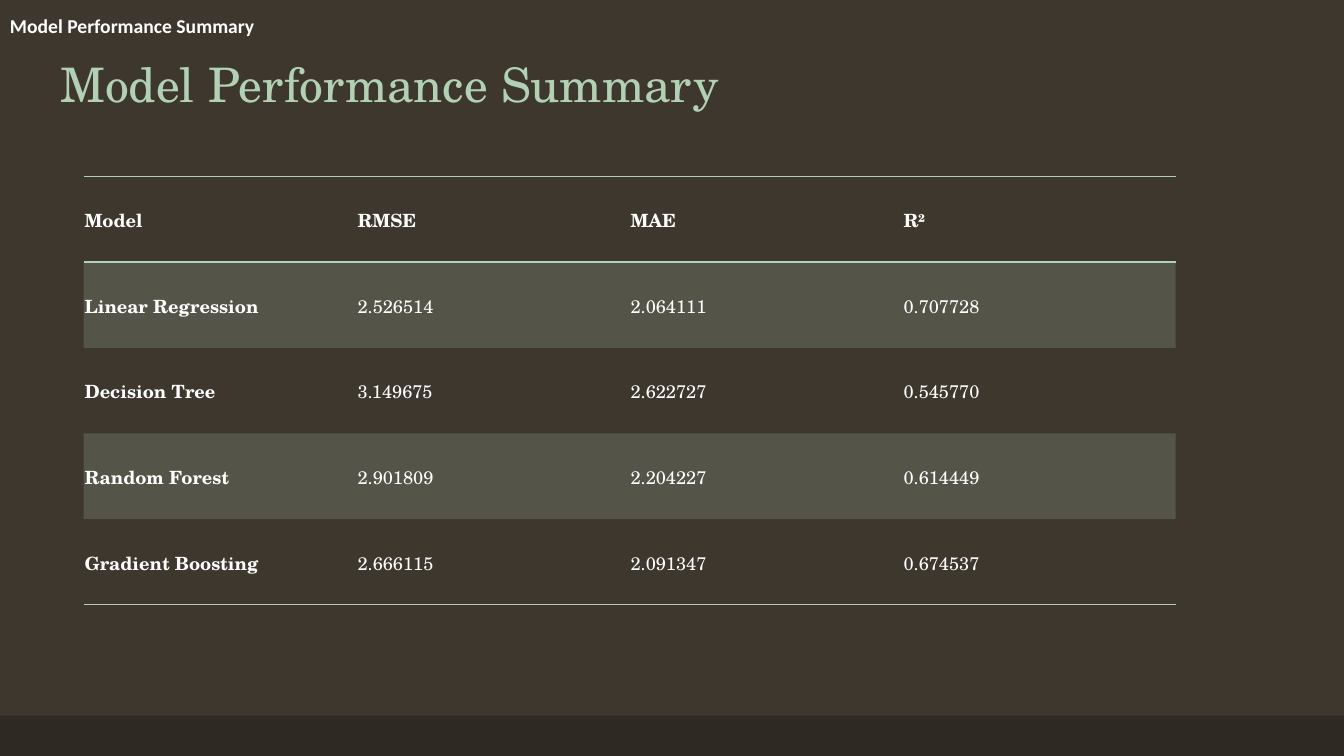
from dataclasses import dataclass

from lxml.etree import SubElement
from pptx import Presentation
from pptx.dml.color import RGBColor
from pptx.enum.shapes import MSO_SHAPE
from pptx.enum.text import MSO_ANCHOR
from pptx.oxml import parse_xml
from pptx.oxml.ns import nsdecls, qn
from pptx.util import Inches, Pt

PLAIN_TABLE_STYLE = "{2D5ABB26-0587-4C30-8999-92F81FD0307C}"


@dataclass(frozen=True)
class Theme:
    background: str = "3D372E"
    footer: str = "2E2923"
    accent: str = "B2D0B4"
    text: str = "FFFFFF"
    serif: str = "TeX Gyre Schola"
    sans: str = "Calibri"
    title_size: int = 34
    label_size: int = 14
    table_size: int = 13
    band_opacity: int = 20


class SlideBuilder:
    def __init__(self, slide, theme):
        self.slide = slide
        self.theme = theme

    def background(self):
        fill = self.slide.background.fill
        fill.solid()
        fill.fore_color.rgb = RGBColor.from_string(self.theme.background)

    def bar(self, left, top, width, height, color):
        shape = self.slide.shapes.add_shape(
            MSO_SHAPE.RECTANGLE, Inches(left), Inches(top), Inches(width), Inches(height))
        shape.shadow.inherit = False
        shape.fill.solid()
        shape.fill.fore_color.rgb = RGBColor.from_string(color)
        shape.line.fill.background()

    def set_text(self, frame, text, font, color, spacing):
        paragraph = frame.paragraphs[0]
        for name, value in spacing.items():
            setattr(paragraph, name, value)
        run = paragraph.add_run()
        run.text = text
        for name, value in font.items():
            setattr(run.font, name, value)
        run.font.color.rgb = RGBColor.from_string(color)

    def text(self, left, top, width, height, text, font, color, anchor, spacing):
        box = self.slide.shapes.add_textbox(
            Inches(left), Inches(top), Inches(width), Inches(height))
        frame = box.text_frame
        frame.word_wrap = True
        frame.vertical_anchor = anchor
        self.set_text(frame, text, font, color, spacing)

    def table(self, left, top, width, height, rows):
        """Draw a table with ruled header and end, and tinted odd rows."""
        table = self.slide.shapes.add_table(
            len(rows), len(rows[0]), Inches(left), Inches(top),
            Inches(width), Inches(height)).table
        table.first_row = table.horz_banding = False
        table._tbl.tblPr.find(qn("a:tableStyleId")).text = PLAIN_TABLE_STYLE
        last = len(rows) - 1
        for row_index, row in enumerate(rows):
            sides = {0: ("lnT", "lnB"), last: ("lnB",)}.get(row_index, ())
            for column_index, value in enumerate(row):
                bold = row_index == 0 or column_index == 0
                self.cell(table.cell(row_index, column_index), value, bold,
                          row_index % 2 == 1, sides)

    def cell(self, cell, value, bold, tinted, sides):
        theme = self.theme
        for side in ("left", "top", "right", "bottom"):
            setattr(cell, f"margin_{side}", Inches(0.01))
        cell.vertical_anchor = MSO_ANCHOR.MIDDLE
        font = {"name": theme.serif, "size": Pt(theme.table_size), "bold": bold}
        self.set_text(cell.text_frame, value, font, theme.text,
                      {"line_spacing": 1.07, "space_after": Pt(8)})
        properties = cell._tc.get_or_add_tcPr()
        for side in sides:
            properties.append(parse_xml(
                f'<a:{side} {nsdecls("a")} w="{Pt(1)}"><a:solidFill>'
                f'<a:srgbClr val="{theme.accent}"/></a:solidFill></a:{side}>'))
        if tinted:
            cell.fill.solid()
            cell.fill.fore_color.rgb = RGBColor.from_string(theme.accent)
            color = properties.find(qn("a:solidFill")).find(qn("a:srgbClr"))
            SubElement(color, qn("a:alpha"), val=str(theme.band_opacity * 1000))
        else:
            cell.fill.background()


def main():
    presentation = Presentation()
    presentation.slide_width = Inches(13.33)
    presentation.slide_height = Inches(7.5)
    theme = Theme()
    slide = presentation.slides.add_slide(presentation.slide_layouts[6])
    builder = SlideBuilder(slide, theme)
    heading = "Model Performance Summary"

    builder.background()
    builder.bar(0, 7.1, 13.33, 0.4, theme.footer)
    builder.text(0.5, 0.17, 11.08, 1, heading,
                 {"name": theme.serif, "size": Pt(theme.title_size)},
                 theme.accent, MSO_ANCHOR.BOTTOM, {"line_spacing": 0.9})
    builder.table(0.83, 1.75, 10.83, 4.25, [
        ("Model", "RMSE", "MAE", "R²"),
        ("Linear Regression", "2.526514", "2.064111", "0.707728"),
        ("Decision Tree", "3.149675", "2.622727", "0.545770"),
        ("Random Forest", "2.901809", "2.204227", "0.614449"),
        ("Gradient Boosting", "2.666115", "2.091347", "0.674537"),
    ])
    builder.text(0, 0, 13.33, 0.5, heading,
                 {"name": theme.sans, "size": Pt(theme.label_size), "bold": True},
                 theme.text, MSO_ANCHOR.MIDDLE, {})
    presentation.save("out.pptx")


if __name__ == "__main__":
    main()
